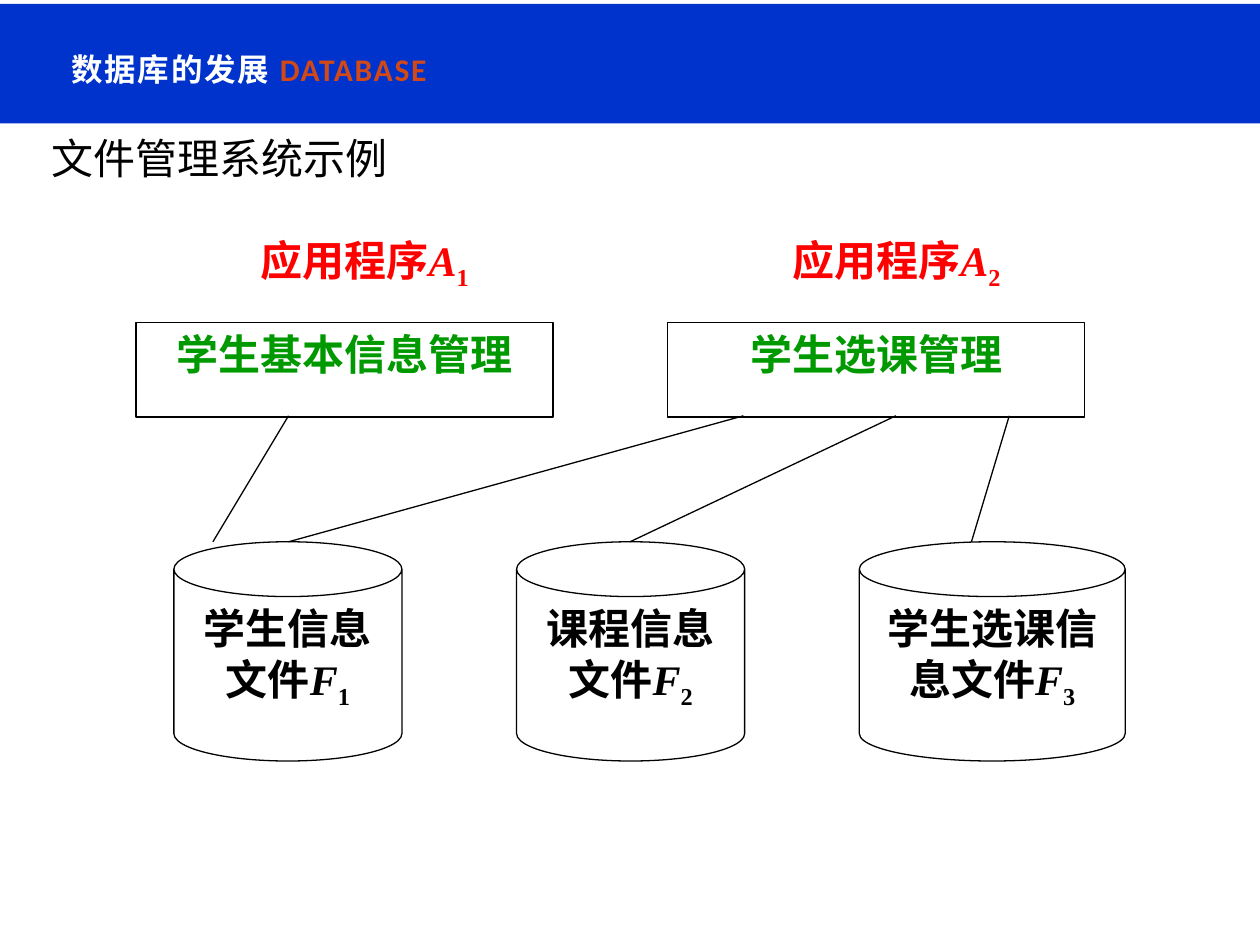
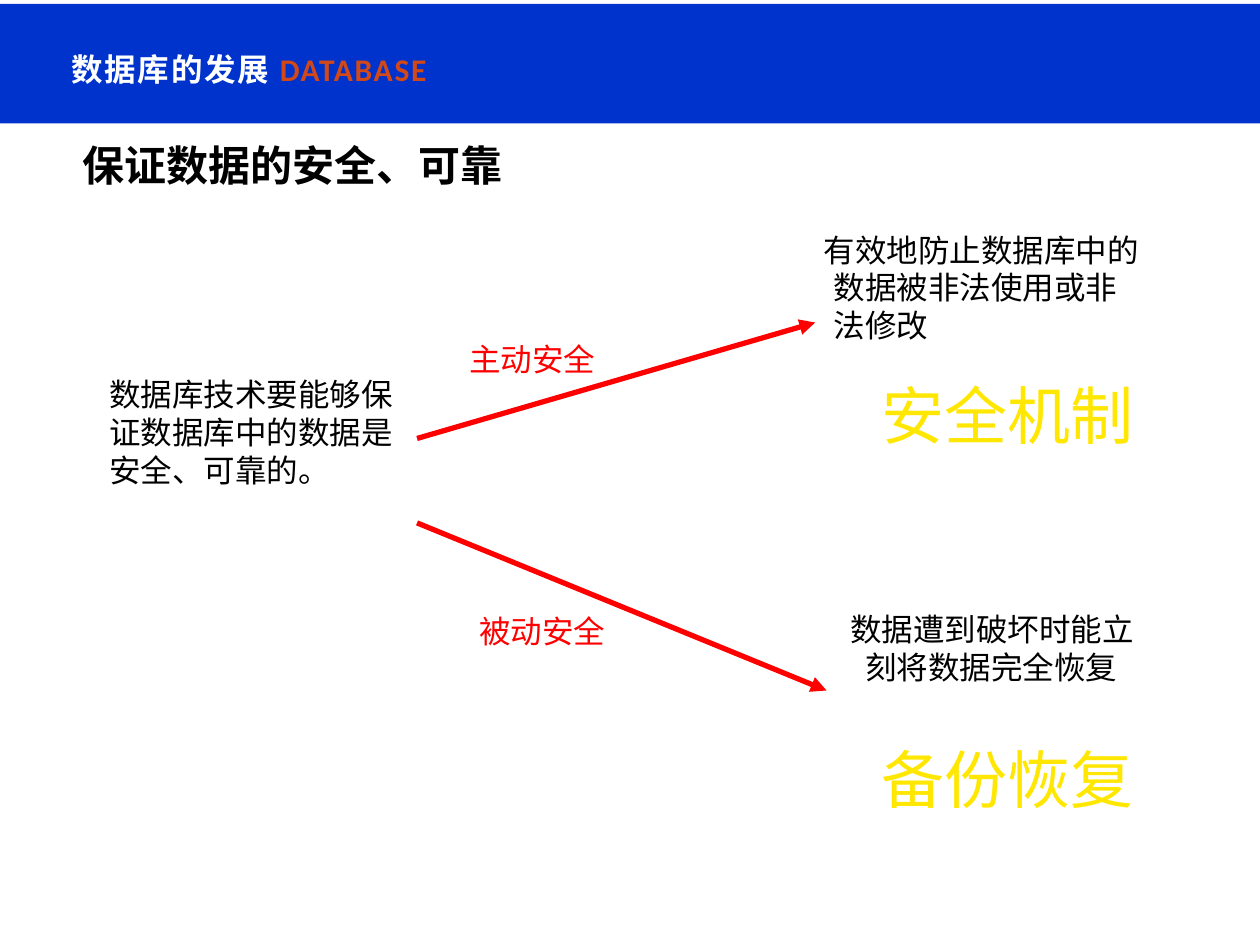
import dataclasses

import pptx
import pptx.dml.color
import pptx.enum.shapes
import pptx.enum.text
import pptx.oxml.ns
import pptx.util
from lxml import etree

Inches = pptx.util.Inches
Pt = pptx.util.Pt
MSO_SHAPE = pptx.enum.shapes.MSO_SHAPE
PP_ALIGN = pptx.enum.text.PP_ALIGN
MSO_ANCHOR = pptx.enum.text.MSO_ANCHOR
qn = pptx.oxml.ns.qn


@dataclasses.dataclass(frozen=True)
class Theme:
    band: str = "0033CC"
    white: str = "FFFFFF"
    black: str = "000000"
    accent: str = "D34817"
    red: str = "FF0000"
    green: str = "009900"
    gradient: tuple = ("FFE701", "FE3E02")
    body_font: str = "Calibri"
    diagram_font: str = "Times New Roman"
    chinese_font: str = "Noto Sans CJK SC"
    body_size: int = 18
    title_size: int = 24
    display_size: int = 36
    thin_line: float = 0.75
    arrow_line: float = 3


THEME = Theme()


def rgb(color):
    return pptx.dml.color.RGBColor.from_string(color)


def add_run(paragraph, text, font_name, size, color=None, bold=False, italic=False):
    """Add a run; Chinese text beside the serif diagram font stays sans-serif."""
    run = paragraph.add_run()
    run.text = text
    font = run.font
    font.size, font.bold, font.italic = Pt(size), bold, italic
    if color:
        font.color.rgb = rgb(color)
    font.name = font_name
    east_asian_font = THEME.body_font if font_name == THEME.diagram_font else font_name
    east_asian = etree.Element(qn("a:ea"), typeface=east_asian_font)
    run._r.rPr.find(qn("a:latin")).addnext(east_asian)
    return run


def add_text_box(slide, left, top, width, height, wrap=True, anchor=MSO_ANCHOR.TOP):
    box = slide.shapes.add_textbox(Inches(left), Inches(top), Inches(width), Inches(height))
    box.text_frame.word_wrap = wrap
    box.text_frame.vertical_anchor = anchor
    return box.text_frame


def add_shape(slide, kind, left, top, width, height, fill, outline=None):
    shape = slide.shapes.add_shape(
        kind, Inches(left), Inches(top), Inches(width), Inches(height))
    shape.shadow.inherit = False
    shape.fill.solid()
    shape.fill.fore_color.rgb = rgb(fill)
    if outline:
        shape.line.color.rgb = rgb(outline)
        shape.line.width = Pt(THEME.thin_line)
    else:
        shape.line.fill.background()
    shape.text_frame.vertical_anchor = MSO_ANCHOR.TOP
    return shape


def add_line(slide, start, end, color, width, arrow=False):
    x1, y1, x2, y2 = (Inches(value) for value in (*start, *end))
    connector = slide.shapes.add_connector(
        pptx.enum.shapes.MSO_CONNECTOR.STRAIGHT, x1, y1, x2, y2)
    connector.line.color.rgb = rgb(color)
    connector.line.width = Pt(width)
    properties = connector._element.spPr
    if arrow:
        etree.SubElement(properties.find(qn("a:ln")), qn("a:tailEnd"), type="triangle")
    etree.SubElement(properties, qn("a:effectLst"))


def add_diagram_text(shape, text, color, symbol="", index=""):
    """Write a centred bold label, with an optional symbol and subscript."""
    paragraph = shape.text_frame.paragraphs[0]
    paragraph.alignment = PP_ALIGN.CENTER
    style = (THEME.diagram_font, THEME.title_size, color, True)
    add_run(paragraph, text, *style)
    if symbol:
        add_run(paragraph, symbol, *style, italic=True)
        subscript = add_run(paragraph, index, *style)
        subscript._r.rPr.set("baseline", "-25000")


def add_header(slide):
    add_shape(slide, MSO_SHAPE.RECTANGLE, -0.03, 0.03, 10.03, 0.95, THEME.band)
    frame = add_text_box(slide, 0.47, 0.31, 7.34, 0.47, anchor=MSO_ANCHOR.MIDDLE)
    for text, font_name, color in (
            ("数据库的发展 ", THEME.chinese_font, THEME.white),
            ("DATABASE", THEME.body_font, THEME.accent)):
        run = add_run(frame.paragraphs[0], text, font_name, THEME.body_size, color, True)
        run._r.rPr.set("spc", "100")


def add_title(slide, text, left, top, height, bold=False):
    frame = add_text_box(slide, left, top, 8.5, height, anchor=MSO_ANCHOR.MIDDLE)
    add_run(frame.paragraphs[0], text, THEME.body_font, THEME.title_size, THEME.black, bold)


def add_body_text(slide, text, left, top, width, height, first_indent=0, top_inset=0.05):
    frame = add_text_box(slide, left, top, width, height)
    frame.margin_top = Inches(top_inset)
    paragraph = frame.paragraphs[0]
    paragraph_properties = paragraph._p.get_or_add_pPr()
    paragraph_properties.set("marL", str(Inches(0.38)))
    paragraph_properties.set("indent", str(Inches(first_indent)))
    add_run(paragraph, text, THEME.body_font, THEME.body_size, THEME.black)


def add_centred_label(slide, text, left, top, width, height, size, color=None):
    frame = add_text_box(slide, left, top, width, height, wrap=False)
    frame.margin_left = frame.margin_right = 0
    paragraph = frame.paragraphs[0]
    paragraph.alignment = PP_ALIGN.CENTER
    return add_run(paragraph, text, THEME.chinese_font, size, color)


def add_gradient_label(slide, text, top):
    run = add_centred_label(slide, text, 6.9, top, 2.2, 0.77, THEME.display_size)
    fill = run.font.fill
    fill.gradient()
    fill.gradient_angle = 270
    for stop, color, position in zip(fill.gradient_stops, THEME.gradient, (0, 1)):
        stop.color.rgb = rgb(color)
        stop.position = position


def add_application(slide, index, name):
    left = 1.08 + 4.22 * (index - 1)
    label = add_shape(slide, MSO_SHAPE.RECTANGLE, left + 0.61, 1.81, 2.41, 0.75, THEME.white)
    add_diagram_text(label, "应用程序", THEME.red, "A", str(index))
    box = add_shape(slide, MSO_SHAPE.RECTANGLE, left, 2.56, 3.31, 0.75,
                    THEME.white, THEME.black)
    add_diagram_text(box, name, THEME.green)


def add_data_file(slide, index, name, width):
    left = 1.38 + 2.72 * (index - 1)
    can = add_shape(slide, MSO_SHAPE.CAN, left, 4.3, width, 1.74, THEME.white, THEME.black)
    can.adjustments[0] = 0.25
    add_diagram_text(can, name, THEME.black, "F", str(index))


def build_file_system(slide):
    add_header(slide)
    add_title(slide, "文件管理系统示例", 0.31, 0.78, 0.94)
    for index, name in enumerate(("学生基本信息管理", "学生选课管理"), 1):
        add_application(slide, index, name)
    files = (("学生信息文件", 1.81), ("课程信息文件", 1.81), ("学生选课信息文件", 2.11))
    for index, (name, width) in enumerate(files, 1):
        add_data_file(slide, index, name, width)
    for application_x, file_x in ((2.29, 1.69), (5.9, 2.29), (7.11, 5), (8.01, 7.71)):
        add_line(slide, (application_x, 3.3), (file_x, 4.3), THEME.black, THEME.thin_line)


def build_data_safety(slide):
    add_header(slide)
    add_title(slide, "保证数据的安全、可靠", 0.56, 0.68, 1.25, bold=True)
    add_body_text(slide, "数据库技术要能够保证数据库中的数据是安全、可靠的。",
                  0.39, 2.93, 3, 1.83)
    add_body_text(slide, "有效地防止数据库中的数据被非法使用或非法修改",
                  6.14, 1.56, 3, 2.17, first_indent=-0.08, top_inset=0.27)
    add_body_text(slide, "数据遭到破坏时能立刻将数据完全恢复",
                  6.39, 4.65, 2.84, 1.91, first_indent=-0.12, top_inset=0.19)
    branches = (
        ("主动安全", (3.56, 2.65), (3.31, 3.48), (6.47, 2.56)),
        ("被动安全", (3.64, 4.81), (3.31, 4.15), (6.56, 5.48)),
    )
    for text, position, start, end in branches:
        add_line(slide, start, end, THEME.red, THEME.arrow_line, arrow=True)
        add_centred_label(slide, text, *position, 1.33, 0.34, THEME.body_size, THEME.red)
    for text, top in (("安全机制", 2.94), ("备份恢复", 5.83)):
        add_gradient_label(slide, text, top)


def main():
    presentation = pptx.Presentation()
    presentation.slide_width, presentation.slide_height = Inches(10), Inches(7.5)
    blank_layout = presentation.slide_layouts[6]
    for build in (build_file_system, build_data_safety):
        build(presentation.slides.add_slide(blank_layout))
    presentation.save("out.pptx")


if __name__ == "__main__":
    main()
